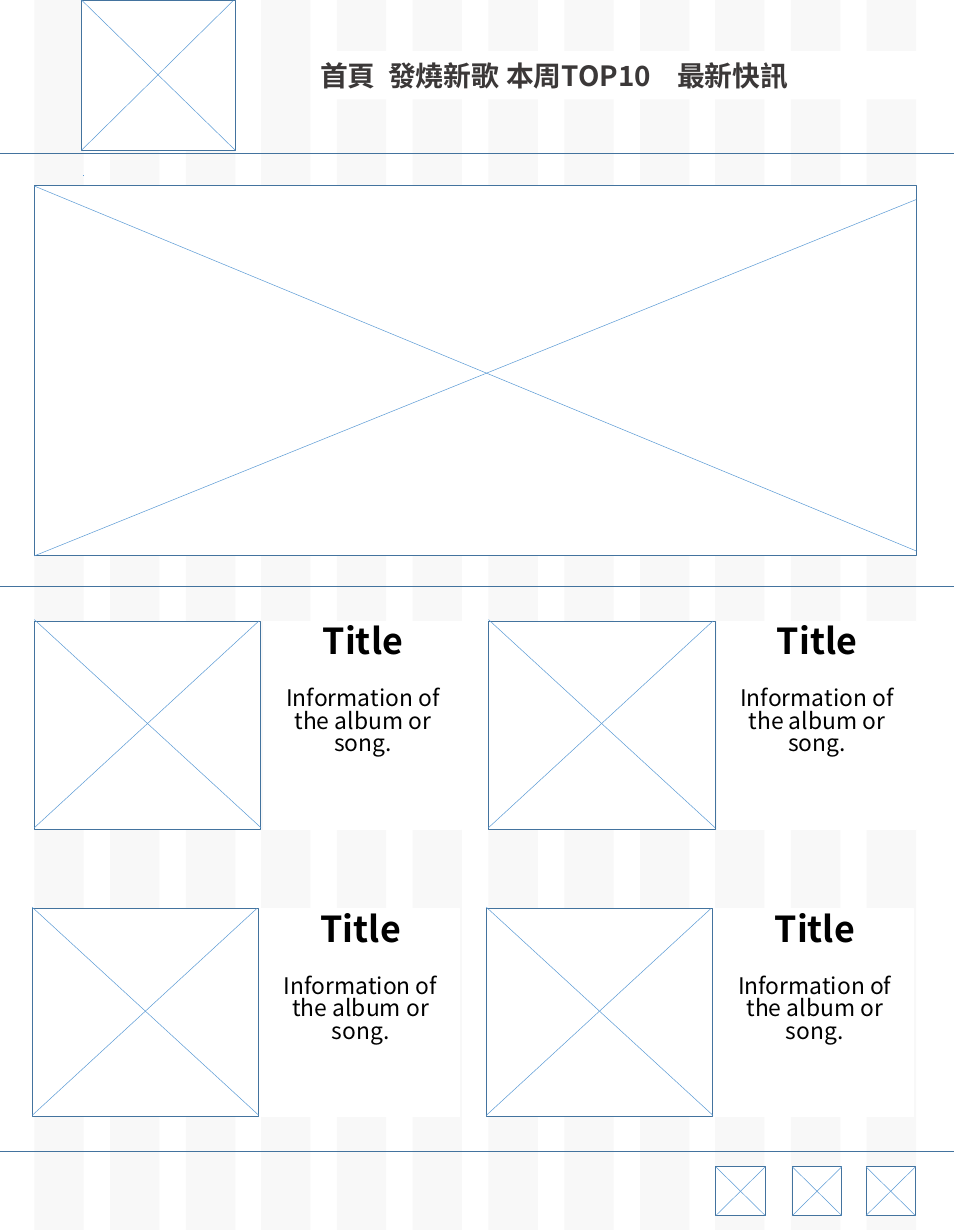
import dataclasses
import typing

import pptx
import pptx.dml.color
import pptx.enum.shapes
import pptx.enum.text
import pptx.oxml.ns
import pptx.shapes.autoshape
import pptx.shapes.shapetree
import pptx.slide
import pptx.text.text
import pptx.util
from lxml import etree

PX = 9144  # EMU in one px, at 100 px to the inch
PAGE_WIDTH, PAGE_HEIGHT = 1334, 1722
RECTANGLE = pptx.enum.shapes.MSO_SHAPE.RECTANGLE
STRAIGHT = pptx.enum.shapes.MSO_CONNECTOR.STRAIGHT
ALIGN = pptx.enum.text.PP_ALIGN
ANCHOR = pptx.enum.text.MSO_ANCHOR
ShapeTree = typing.Union[pptx.shapes.shapetree.SlideShapes, pptx.shapes.shapetree.GroupShapes]


@dataclasses.dataclass(frozen=True)
class Theme:
    font: str = "Noto Sans CJK SC"
    paper: str = "FFFFFF"
    column: str = "F2F2F2"
    border: str = "43739E"
    diagonal: str = "5B9BD5"
    nav: str = "3B3838"
    ink: str = "000000"
    nav_size: int = 28
    title_size: int = 36
    info_size: int = 23
    border_width: float = 1
    diagonal_width: float = 0.5


THEME = Theme()


@dataclasses.dataclass(frozen=True)
class Box:
    left: int
    top: int
    width: int
    height: int


@dataclasses.dataclass(frozen=True)
class CrossedFrame:
    """A media placeholder; the offsets move its diagonals off the corners."""
    box: Box
    rise: int = 0
    inset: int = 0
    right_drop: int = 0
    right_lift: int = 0


@dataclasses.dataclass(frozen=True)
class TextStyle:
    size: int
    color: str
    bold: bool
    paragraph: dict[str, typing.Any]


NAV_STYLE = TextStyle(THEME.nav_size, THEME.nav, True, {"alignment": ALIGN.JUSTIFY})
TITLE_STYLE = TextStyle(THEME.title_size, THEME.ink, True,
                        {"alignment": ALIGN.CENTER, "line_spacing": 0.87})
INFO_STYLE = TextStyle(THEME.info_size, THEME.ink, False,
                       {"alignment": ALIGN.CENTER, "line_spacing": 0.82,
                        "space_before": pptx.util.Pt(27)})

NAV_ITEMS = ("首頁", "發燒新歌", "本周TOP10", "最新快訊")
NAV_STOPS = (95, 260, 499)
NAV_BOX = Box(438, 71, 847, 68)
RULE_TOPS = (214, 820, 1610)
LOGO = CrossedFrame(Box(114, 1, 215, 210), rise=1, inset=3)
HERO = CrossedFrame(Box(48, 260, 1233, 517), right_drop=19, right_lift=7)
CARD_ROWS = ((48, 868), (45, 1270))
CARD_PITCH = 635
ICON_LEFTS = (1001, 1108, 1211)


def rgb(color: str) -> pptx.dml.color.RGBColor:
    return pptx.dml.color.RGBColor.from_string(color)


def apply_format(target: typing.Any, values: dict[str, typing.Any]) -> None:
    for attribute, value in values.items():
        setattr(target, attribute, value)


def add_rectangle(shapes: ShapeTree, box: Box, fill: str,
                  border: typing.Optional[str] = None) -> pptx.shapes.autoshape.Shape:
    rectangle = shapes.add_shape(RECTANGLE, box.left * PX, box.top * PX,
                                 box.width * PX, box.height * PX)
    rectangle.shadow.inherit = False
    rectangle.fill.solid()
    rectangle.fill.fore_color.rgb = rgb(fill)
    if border is None:
        rectangle.line.fill.background()
    else:
        rectangle.line.color.rgb = rgb(border)
        rectangle.line.width = pptx.util.Pt(THEME.border_width)
    return rectangle


def add_line(shapes: ShapeTree, start: tuple[int, int], end: tuple[int, int],
             color: str, width: float) -> None:
    line = shapes.add_connector(STRAIGHT, start[0] * PX, start[1] * PX,
                                end[0] * PX, end[1] * PX)
    line.line.color.rgb = rgb(color)
    line.line.width = pptx.util.Pt(width)
    etree.SubElement(line._element.spPr, pptx.oxml.ns.qn("a:effectLst"))


def add_diagonal(shapes: ShapeTree, start: tuple[int, int], end: tuple[int, int]) -> None:
    add_line(shapes, start, end, THEME.diagonal, THEME.diagonal_width)


def add_crossed_frame(slide: pptx.slide.Slide, frame: CrossedFrame) -> None:
    shapes = slide.shapes.add_group_shape().shapes
    box = frame.box
    right, bottom = box.left + box.width, box.top + box.height
    add_rectangle(shapes, box, THEME.paper, THEME.border)
    add_diagonal(shapes, (box.left, box.top - frame.rise),
                 (right, bottom - frame.rise - frame.right_lift))
    add_diagonal(shapes, (right - frame.inset, box.top + frame.right_drop),
                 (box.left, bottom - frame.rise))


def write(paragraph: pptx.text.text._Paragraph, text: str, style: TextStyle) -> None:
    apply_format(paragraph, style.paragraph)
    run = paragraph.add_run()
    run.text = text
    apply_format(run.font, {"name": THEME.font, "size": pptx.util.Pt(style.size),
                            "bold": style.bold})
    run.font.color.rgb = rgb(style.color)
    east_asian = etree.SubElement(run.font._element, pptx.oxml.ns.qn("a:ea"))
    east_asian.set("typeface", THEME.font)


def add_columns(slide: pptx.slide.Slide) -> None:
    """Draw the twelve half-transparent columns of the layout grid."""
    shapes = slide.shapes.add_group_shape().shapes
    for index in range(12):
        box = Box(48 + round(index * 1164 / 11), -3, 69, PAGE_HEIGHT)
        column = add_rectangle(shapes, box, THEME.column)
        tint = column._element.spPr.find(".//" + pptx.oxml.ns.qn("a:srgbClr"))
        etree.SubElement(tint, pptx.oxml.ns.qn("a:alpha")).set("val", "50000")


def add_navigation(slide: pptx.slide.Slide) -> None:
    bar = add_rectangle(slide.shapes, NAV_BOX, THEME.paper)
    apply_format(bar.text_frame, {"word_wrap": True, "vertical_anchor": ANCHOR.MIDDLE})
    menu = bar.text_frame.paragraphs[0]
    write(menu, "\t".join(NAV_ITEMS), NAV_STYLE)
    stops = etree.SubElement(menu._p.get_or_add_pPr(), pptx.oxml.ns.qn("a:tabLst"))
    for position in NAV_STOPS:
        stop = etree.SubElement(stops, pptx.oxml.ns.qn("a:tab"))
        stop.set("pos", str(position * PX))
        stop.set("algn", "l")


def add_card(slide: pptx.slide.Slide, left: int, top: int) -> None:
    add_crossed_frame(slide, CrossedFrame(Box(left, top, 317, 291), rise=2, inset=3))
    caption = add_rectangle(slide.shapes, Box(left + 321, top, 277, 291),
                            THEME.paper, THEME.paper)
    apply_format(caption.text_frame, {"word_wrap": True, "vertical_anchor": ANCHOR.TOP})
    write(caption.text_frame.paragraphs[0], "Title", TITLE_STYLE)
    write(caption.text_frame.add_paragraph(), "Information of the album or song.", INFO_STYLE)


def main() -> None:
    presentation = pptx.Presentation()
    apply_format(presentation, {"slide_width": PAGE_WIDTH * PX,
                                "slide_height": PAGE_HEIGHT * PX})
    slide = presentation.slides.add_slide(presentation.slide_layouts[6])

    add_columns(slide)
    for top in RULE_TOPS:
        add_line(slide.shapes, (0, top), (PAGE_WIDTH, top), THEME.border, THEME.border_width)
    add_navigation(slide)
    add_crossed_frame(slide, LOGO)
    add_diagonal(slide.shapes, (117, 246), (117, 245))
    add_crossed_frame(slide, HERO)
    for left, top in CARD_ROWS:
        for column in range(2):
            add_card(slide, left + column * CARD_PITCH, top)
    for left in ICON_LEFTS:
        add_crossed_frame(slide, CrossedFrame(Box(left, 1631, 69, 68)))

    presentation.save("out.pptx")


if __name__ == "__main__":
    main()
